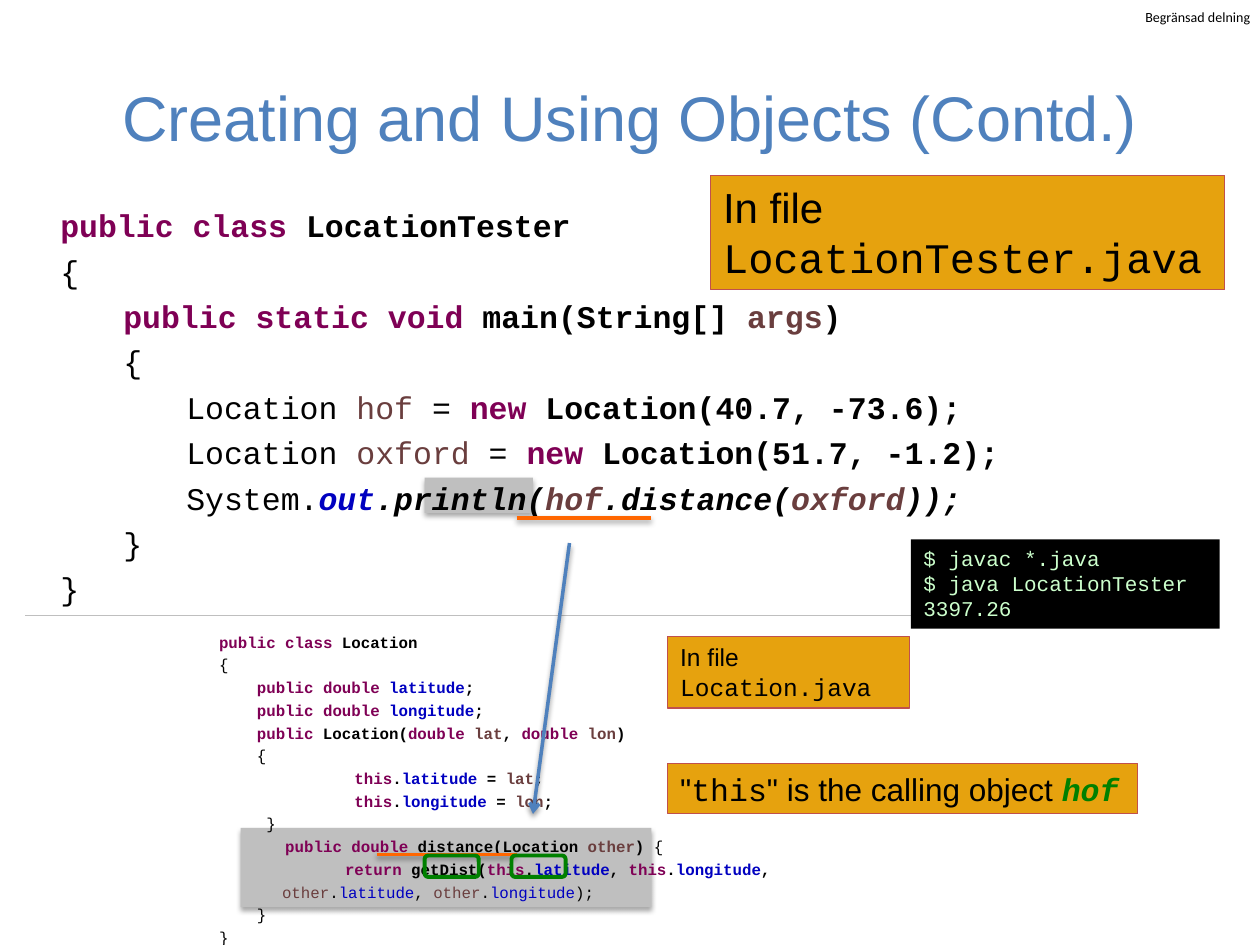
from dataclasses import dataclass

from lxml import etree
from pptx import Presentation
from pptx.dml.color import RGBColor
from pptx.enum.shapes import MSO_CONNECTOR, MSO_SHAPE
from pptx.enum.text import MSO_ANCHOR, PP_ALIGN
from pptx.oxml.ns import qn
from pptx.util import Inches, Pt

RECT = MSO_SHAPE.RECTANGLE
ROUND = MSO_SHAPE.ROUNDED_RECTANGLE
STRAIGHT = MSO_CONNECTOR.STRAIGHT
TOP, MIDDLE = MSO_ANCHOR.TOP, MSO_ANCHOR.MIDDLE
LEFT, CENTER = PP_ALIGN.LEFT, PP_ALIGN.CENTER


@dataclass(frozen=True)
class Theme:
    sans: str = "Arial"
    mono: str = "Courier New"
    label: str = "Calibri"
    black: str = "000000"
    blue: str = "4F81BD"
    gray: str = "BFBFBF"
    gold: str = "E6A20E"
    red: str = "C0504D"
    green: str = "008000"
    orange: str = "FF6600"
    mint: str = "CCFFCC"
    title: float = 36
    code: float = 18
    small: float = 9
    tag: float = 8
    shell: float = 12


@dataclass(frozen=True)
class Style:
    color: str
    bold: bool = False
    slant: bool = False
    font: str = "Courier New"


@dataclass(frozen=True)
class Box:
    x: float
    y: float
    w: float
    h: float
    fill: str | None = None
    line: str | None = None
    width: float = 0.75
    form: MSO_SHAPE = RECT
    shade: int = 0


@dataclass(frozen=True)
class Stroke:
    x1: float
    y1: float
    x2: float
    y2: float
    color: str
    width: float = 2
    shade: int = 38
    arrow: bool = False


T = Theme()
STYLES = {
    "p": Style(T.black),
    "b": Style(T.black, True),
    "i": Style(T.black, True, True),
    "k": Style("7F0055", True),
    "v": Style("6A3E3E"),
    "vb": Style("6A3E3E", True),
    "vi": Style("6A3E3E", True, True),
    "f": Style("0000C0"),
    "fb": Style("0000C0", True),
    "fi": Style("0000C0", True, True),
    "s": Style(T.black, font=T.sans),
    "g": Style(T.green, True, True),
    "t": Style(T.mint),
    "l": Style(T.black, font=T.label),
}

TESTER = [
    "k~public class|b~ LocationTester",
    "p~{",
    "k~\tpublic static void|b~ main(String[] |vb~args|b~)",
    "p~\t{",
    "p~\t\tLocation |v~hof|p~ = |k~new|b~ Location(40.7, -73.6);",
    "p~\t\tLocation |v~oxford |p~= |k~new|b~ Location(51.7, -1.2);",
    "p~\t\tSystem.|fi~out|i~.println(|vi~hof|i~.distance(|vi~oxford|i~));",
    "p~\t}",
    "p~}",
]
CLASS = [
    "k~public class|b~ Location",
    "p~{",
    "k~    public double |fb~latitude|b~;",
    "k~    public double |fb~longitude|b~;",
    "k~    public|b~ Location(|k~double |vb~lat|b~, |k~double |vb~lon|b~)",
    "p~    {",
    "k~\t\t this|b~.|fb~latitude|b~ = |vb~lat|b~;",
    "k~\t\t this|b~.|fb~longitude|b~ = |vb~lon|b~;",
    "p~     }",
    "k~       public double|b~ distance(Location |vb~other|b~) |p~{",
    "k~\t\treturn|b~ getDist(|k~this|b~.|fb~latitude|b~, |k~this|b~.|fb~longitude|b~,",
    "v~\tother|p~.|f~latitude|p~, |v~other|p~.|f~longitude|p~);",
    "p~    }",
    "p~}",
]
SHELL = ["t~$ javac *.java", "t~$ java LocationTester", "t~3397.26"]


def tint(value: str) -> RGBColor:
    return RGBColor.from_string(value)


def shadow(item, alpha: int) -> None:
    props = item._element.spPr
    for old in props.findall(qn("a:effectLst")):
        props.remove(old)
    effect = etree.SubElement(props, qn("a:effectLst"))
    if alpha:
        outer = etree.SubElement(effect, qn("a:outerShdw"), blurRad=str(Pt(3.1)),
                                 dist=str(Pt(1.8)), dir="5400000", rotWithShape="0")
        color = etree.SubElement(outer, qn("a:srgbClr"), val=T.black)
        etree.SubElement(color, qn("a:alpha"), val=str(alpha * 1000))


def write(frame, lines: list[str], size: float, space: float = 1.0) -> None:
    frame.vertical_anchor = TOP
    for row, line in enumerate(lines):
        para = frame.add_paragraph() if row else frame.paragraphs[0]
        para.alignment = LEFT
        para.line_spacing = space
        if "\t" in line:
            tabs = etree.SubElement(para._p.get_or_add_pPr(), qn("a:tabLst"))
            for stop in (0.5, 1.0):
                etree.SubElement(tabs, qn("a:tab"), pos=str(Inches(stop)), algn="l")
        for part in line.split("|"):
            key, text = part.split("~")
            style, run = STYLES[key], para.add_run()
            run.text = text
            font = run.font
            font.name, font.size = style.font, Pt(size)
            font.bold, font.italic = style.bold, style.slant
            font.color.rgb = tint(style.color)


def block(slide, x: float, y: float, w: float, h: float,
          lines: list[str], size: float, space: float = 1.2):
    frame = slide.shapes.add_textbox(Inches(x), Inches(y), Inches(w), Inches(h)).text_frame
    frame.word_wrap = True
    write(frame, lines, size, space)
    return frame


def draw(slide, box: Box, lines: list[str] | None = None, size: float = 18) -> None:
    shape = slide.shapes.add_shape(box.form, Inches(box.x), Inches(box.y),
                                   Inches(box.w), Inches(box.h))
    for paint, color in ((shape.fill, box.fill), (shape.line.fill, box.line)):
        if color:
            paint.solid()
            paint.fore_color.rgb = tint(color)
        else:
            paint.background()
    if box.line:
        shape.line.width = Pt(box.width)
    shadow(shape, box.shade)
    if lines:
        write(shape.text_frame, lines, size)


def link(slide, mark: Stroke) -> None:
    line = slide.shapes.add_connector(STRAIGHT, Inches(mark.x1), Inches(mark.y1),
                                      Inches(mark.x2), Inches(mark.y2))
    line.line.color.rgb = tint(mark.color)
    line.line.width = Pt(mark.width)
    if mark.arrow:
        etree.SubElement(line.line._get_or_add_ln(), qn("a:tailEnd"), type="arrow")
    shadow(line, mark.shade)


def main() -> None:
    deck = Presentation()
    deck.slide_width, deck.slide_height = Inches(10), Inches(7.5)
    slide = deck.slides.add_slide(deck.slide_layouts[5])

    title = slide.shapes.title
    title.left, title.top = Inches(0.5), Inches(0.3)
    title.width, title.height = Inches(9), Inches(1.25)
    frame = title.text_frame
    frame.text = "Creating and Using Objects (Contd.)"
    frame.vertical_anchor = MIDDLE
    para = frame.paragraphs[0]
    para.alignment = CENTER
    font = para.runs[0].font
    font.name, font.size, font.color.rgb = T.sans, Pt(T.title), tint(T.blue)

    tag = block(slide, 9.09, 0.07, 0.86, 0.13, ["l~Begränsad delning"], T.tag, 1.0)
    tag.margin_left = tag.margin_right = tag.margin_top = tag.margin_bottom = 0
    tag.word_wrap = False

    for area in ((1.91, 6.57, 3.26, 0.63), (3.37, 3.79, 0.86, 0.28)):
        draw(slide, Box(*area, fill=T.gray, shade=35))
    block(slide, 0.38, 1.53, 8.35, 3.36, TESTER, T.code)
    block(slide, 1.64, 4.94, 5.59, 2.64, CLASS, T.small)

    notes = [
        ((5.64, 1.39, 4.08, 0.91), ["s~In file |p~LocationTester.java"], 24),
        ((5.3, 5.05, 1.92, 0.57), ["s~In file", "p~Location.java"], 14),
        ((5.3, 6.06, 3.73, 0.4), ['s~"|p~this|s~" is the calling object |g~hof'], 18),
    ]
    link(slide, Stroke(0.2, 4.88, 9.42, 4.88, T.gray, 0.25, 0))
    link(slide, Stroke(4.52, 4.31, 4.23, 6.46, T.blue, arrow=True))
    for area, lines, size in notes:
        draw(slide, Box(*area, fill=T.gold, line=T.red), lines, size)
    for x1, x2, y in ((4.1, 5.17, 4.11), (2.99, 4.1, 6.78)):
        link(slide, Stroke(x1, y, x2, y, T.orange))
    for x in (3.37, 4.06):
        draw(slide, Box(x, 6.79, 0.43, 0.17, line=T.green, width=2.25, form=ROUND))
    draw(slide, Box(7.23, 4.28, 2.45, 0.71, fill=T.black), SHELL, T.shell)
    deck.save("out.pptx")


if __name__ == "__main__":
    main()
